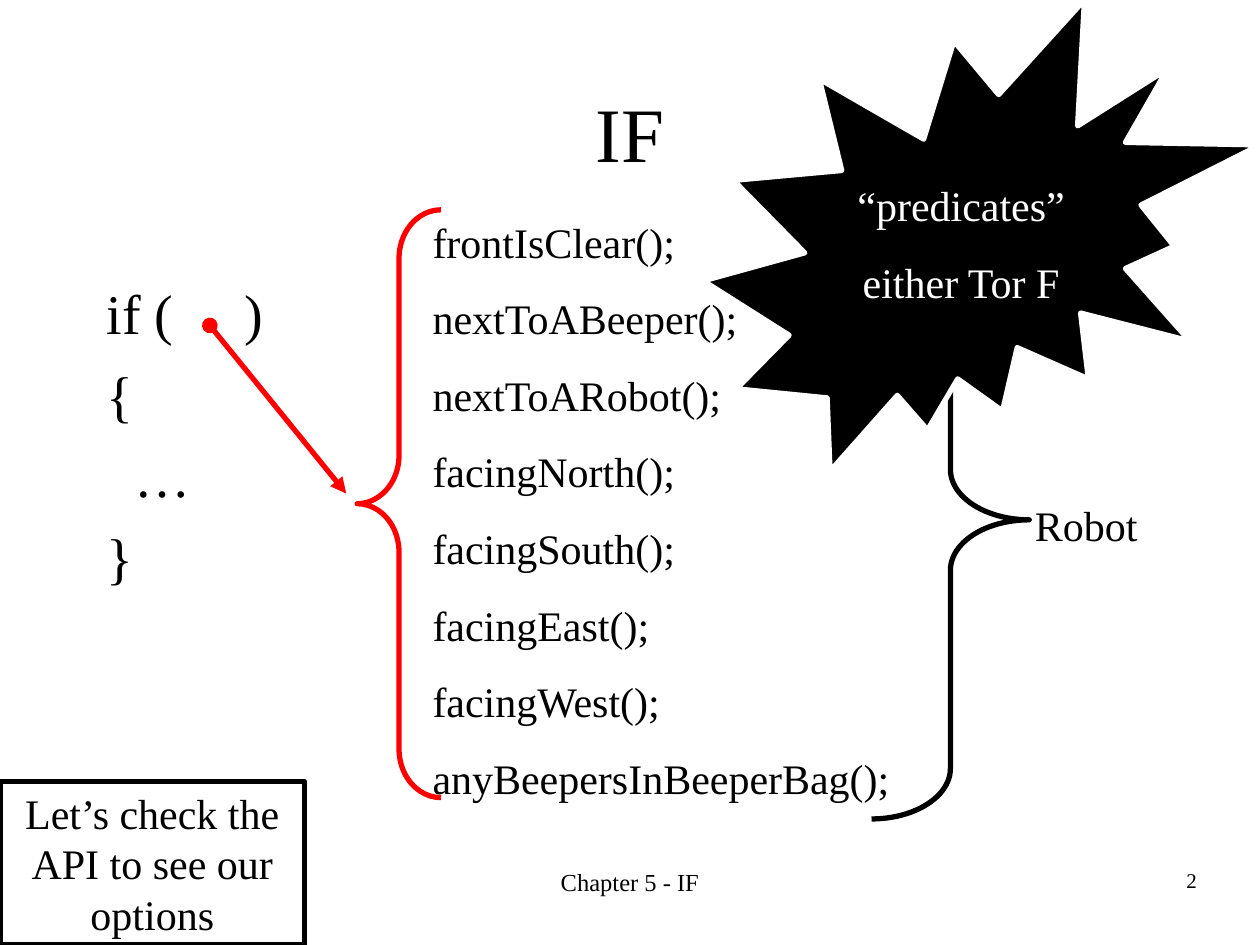
from lxml import etree
from pptx import Presentation
from pptx.dml.color import RGBColor
from pptx.enum.shapes import MSO_CONNECTOR, MSO_SHAPE
from pptx.enum.text import MSO_ANCHOR, PP_ALIGN
from pptx.oxml.ns import qn
from pptx.util import Cm, Pt

BLACK, WHITE, RED = "000000", "FFFFFF", "FF0000"


def color(value):
    return RGBColor.from_string(value)


def write(shape, lines, size, ink=BLACK, anchor=MSO_ANCHOR.TOP, **paragraph_format):
    frame = shape.text_frame
    frame.word_wrap = True
    frame.vertical_anchor = anchor
    for number, line in enumerate(lines):
        para = frame.paragraphs[0] if number == 0 else frame.add_paragraph()
        for name, value in paragraph_format.items():
            setattr(para, name, value)
        span = para.add_run()
        span.text = line
        for name, value in {"name": "Times New Roman", "size": Pt(size)}.items():
            setattr(span.font, name, value)
        span.font.color.rgb = color(ink)


deck = Presentation()
deck.slide_width, deck.slide_height = Cm(25.4), Cm(19.05)
page = deck.slides.add_slide(deck.slide_layouts[5])
shapes = page.shapes

# Title
title = shapes.title
title.left, title.top, title.width, title.height = Cm(1.9), Cm(1.06), Cm(21.6), Cm(3.18)
write(title, ["IF"], 44, anchor=MSO_ANCHOR.MIDDLE, alignment=PP_ALIGN.CENTER)

# Code skeleton: a tab stop leaves room for the condition, a margin indents the body
code = shapes.add_textbox(Cm(1.9), Cm(5.5), Cm(4.24), Cm(7.2))
write(code, ["if (\t)", "{", "…", "}"], 32, space_before=Pt(8))
condition, body = code.text_frame.paragraphs[0], code.text_frame.paragraphs[2]
tabs = etree.SubElement(condition._p.get_or_add_pPr(), qn("a:tabLst"))
etree.SubElement(tabs, qn("a:tab"), pos=str(Cm(2.77)), algn="l")
body._p.get_or_add_pPr().set("marL", str(Cm(0.56)))

# Predicate methods
methods = shapes.add_textbox(Cm(8.47), Cm(4.23), Cm(9.95), Cm(12.1))
write(methods, ["frontIsClear();", "nextToABeeper();", "nextToARobot();",
                "facingNorth();", "facingSouth();", "facingEast();",
                "facingWest();", "anyBeepersInBeeperBag();"], 24, space_before=Pt(15))

# Arrow from the condition to the methods
arrow = shapes.add_connector(MSO_CONNECTOR.STRAIGHT, Cm(4.23), Cm(6.56), Cm(6.98), Cm(9.95))
arrow.line.color.rgb = color(RED)
arrow.line.width = Pt(3)
outline = arrow.line._get_or_add_ln()
for end, kind in (("headEnd", "oval"), ("tailEnd", "triangle")):
    etree.SubElement(outline, qn(f"a:{end}"), type=kind)
etree.SubElement(arrow._element.spPr, qn("a:effectLst"))

# Centred labels
for text, left, top, width, height, size, before in (
    ("Robot", 20.1, 9.95, 3.6, 1.27, 24, 15),
    ("2", 22.86, 17.36, 2.33, 0.77, 12, 7.5),
    ("Chapter 5 - IF", 8.68, 17.36, 8.04, 1.27, 14, 0),
):
    label = shapes.add_textbox(Cm(left), Cm(top), Cm(width), Cm(height))
    write(label, [text], size, alignment=PP_ALIGN.CENTER, space_before=Pt(before))

# Braces, starburst and note
drawn = []
for preset, left, top, width, height, fill, line in (
    (MSO_SHAPE.RIGHT_BRACE, 17.57, 4.45, 3.18, 12.06, None, BLACK),
    (MSO_SHAPE.LEFT_BRACE, 7.2, 4.23, 1.69, 11.85, None, RED),
    (MSO_SHAPE.EXPLOSION2, 14.18, 0, 11.22, 9.5, BLACK, WHITE),
    (MSO_SHAPE.RECTANGLE, 0, 15.75, 6.14, 3.3, None, BLACK),
):
    shape = shapes.add_shape(preset, Cm(left), Cm(top), Cm(width), Cm(height))
    shape.shadow.inherit = False
    if fill:
        shape.fill.solid()
        shape.fill.fore_color.rgb = color(fill)
    else:
        shape.fill.background()
    shape.line.color.rgb = color(line)
    shape.line.width = Pt(3)
    drawn.append(shape)

right_brace, left_brace, burst, note = drawn
for brace in (right_brace, left_brace):
    # Each curve takes a twelfth of the height
    brace.adjustments[0] = round(brace.height / 12 / brace.width, 2)
centred = {"alignment": PP_ALIGN.CENTER, "space_before": Pt(15)}
write(burst, ["“predicates”", "either Tor F"], 24, WHITE, MSO_ANCHOR.MIDDLE, **centred)
write(note, ["Let’s check the API to see our options"], 24, **centred)

deck.save("out.pptx")
